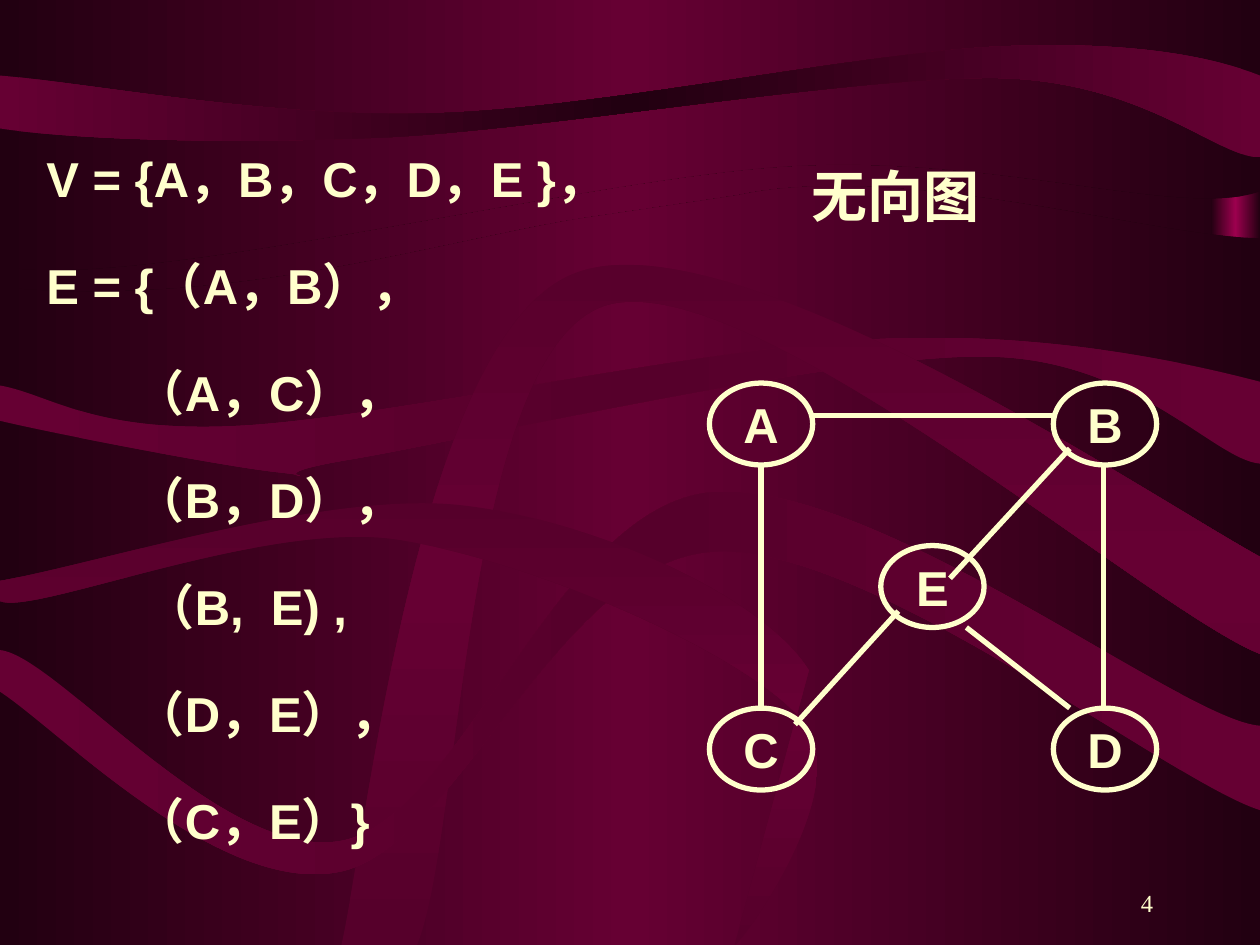
from copy import deepcopy
from dataclasses import dataclass

from pptx import Presentation, util as u
from pptx.dml.color import RGBColor
from pptx.enum import shapes, text
from pptx.oxml.ns import qn


@dataclass(frozen=True)
class Theme:
    ink: str = "FFFFCC"
    dark: str = "220011"
    wine: str = "660033"
    plum: str = "56002B"
    rose: str = "9C004E"
    sans: str = "Arial"
    serif: str = "Times New Roman"
    head: int = 32
    body: int = 28
    foot: int = 14
    line: int = 3


def px(n):
    """100 px to the inch."""
    return u.Emu(n * 9144)


def bend(shape, steps):
    """Join the three points of each six-number step into one Bezier curve."""
    track = shape._element.find(".//" + qn("a:path"))
    lines = iter(track.findall(qn("a:lnTo")))
    for step in steps:
        first = next(lines)
        if len(step) == 6:
            first.tag = qn("a:cubicBezTo")
            for _ in range(2):
                extra = next(lines)
                first.append(extra[0])
                track.remove(extra)


def write(frame, lines, size, font, color, bold=True, align="LEFT", anchor="TOP",
          wrap=True, gap=0, space=None, indents=None):
    frame.word_wrap = wrap
    frame.auto_size = text.MSO_AUTO_SIZE.NONE
    frame.vertical_anchor = getattr(text.MSO_ANCHOR, anchor)
    for i, line in enumerate(lines):
        para = frame.paragraphs[0] if i == 0 else frame.add_paragraph()
        para.alignment = getattr(text.PP_ALIGN, align)
        para.space_before = u.Pt(gap if i else 0)
        if space:
            para.line_spacing = space
        if indents:
            props = para._p.get_or_add_pPr()
            props.set("marL", str(px(indents[i])))
            props.set("indent", "0")
        run = para.add_run()
        run.text = line
        run.font.size, run.font.name, run.font.bold = u.Pt(size), font, bold
        run.font.color.rgb = RGBColor.from_string(color)


class Deck:
    def __init__(self, theme):
        self.theme = theme
        self.file = Presentation()
        self.file.slide_width, self.file.slide_height = px(1000), px(750)
        self.slide = self.file.slides.add_slide(self.file.slide_layouts[5])
        self.shapes = self.slide.shapes

    def blend(self, fill, edge, mid, angle=0):
        """Gradient from edge to mid and back to edge."""
        fill.gradient()
        fill.gradient_angle = angle
        first = fill.gradient_stops[0]._gs
        first.addnext(deepcopy(first))
        for stop, color, place in zip(fill.gradient_stops, (edge, mid, edge), (0, 0.5, 1)):
            stop.color.rgb = RGBColor.from_string(color)
            stop.position = place

    def plain(self, shape):
        shape.shadow.inherit = False
        shape.line.fill.background()

    def band(self, box, edge, mid):
        shape = self.shapes.add_shape(shapes.MSO_SHAPE.RECTANGLE, *map(px, box))
        self.plain(shape)
        self.blend(shape.fill, edge, mid)

    def ribbon(self, start, steps, edge, mid, angle=0):
        """A step of two numbers is a line, one of six a curve."""
        points = [step[i:i + 2] for step in steps for i in range(0, len(step), 2)]
        pen = self.shapes.build_freeform(*start, scale=px(1))
        pen.add_line_segments(points, close=True)
        shape = pen.convert_to_shape()
        bend(shape, steps)
        self.plain(shape)
        self.blend(shape.fill, edge, mid, angle)

    def stroke(self, line):
        line.color.rgb = RGBColor.from_string(self.theme.ink)
        line.width = u.Pt(self.theme.line)

    def node(self, name, x, y):
        shape = self.shapes.add_shape(shapes.MSO_SHAPE.OVAL, px(x), px(y), px(82), px(65))
        shape.shadow.inherit = False
        shape.fill.background()
        self.stroke(shape.line)
        write(shape.text_frame, [name], self.theme.body, self.theme.sans, self.theme.ink,
              align="CENTER", anchor="MIDDLE", wrap=False)

    def edge(self, *ends):
        link = self.shapes.add_connector(shapes.MSO_CONNECTOR.STRAIGHT, *map(px, ends))
        self.stroke(link.line)
        props = link._element.spPr
        props.append(props.makeelement(qn("a:effectLst"), {}))

    def label(self, box, lines, size, font, **style):
        shape = self.shapes.add_textbox(*map(px, box))
        write(shape.text_frame, lines, size, font, self.theme.ink, **style)

    def title(self, box, words):
        shape = self.shapes.title
        shape.left, shape.top, shape.width, shape.height = map(px, box)
        write(shape.text_frame, [words], self.theme.head, self.theme.sans, self.theme.ink)
        self.shapes._spTree.append(shape._element)  # in front of the ribbons


def main():
    look = Theme()
    deck = Deck(look)
    dark, wine, plum = look.dark, look.wine, look.plum

    # Backdrop
    deck.blend(deck.slide.background.fill, dark, wine)
    deck.band((961, 49, 39, 345), dark, look.rose)
    ribbons = [
        ((0, 0), [(1000, 0), (1000, 152), (938, 174, 792, 122, 625, 132),
                  (458, 142, 104, 233, 0, 211)], dark, wine),
        ((0, 355), [(178, 372, 340, 321, 458, 301), (458, 301, 567, 285, 586, 282),
                    (715, 254, 917, 316, 1000, 316), (1000, 750), (0, 750)], dark, wine),
        ((0, 60), [(0, 102), (51, 110, 176, 115, 308, 109), (440, 102, 679, 60, 794, 62),
                   (909, 65, 966, 125, 1000, 125), (1000, 60), (965, 46, 901, 32, 792, 37),
                   (682, 42, 477, 86, 345, 90), (213, 94, 72, 66, 0, 60)], wine, dark),
        ((0, 306), [(0, 334), (37, 343, 175, 370, 222, 375), (269, 380, 190, 379, 282, 364),
                    (375, 348, 660, 282, 780, 283), (900, 283, 963, 365, 1000, 368),
                    (1000, 303), (950, 290, 836, 263, 701, 269),
                    (566, 274, 307, 332, 190, 338), (73, 344, 40, 313, 0, 306)], wine, plum),
        ((271, 750), [(291, 661, 332, 269, 454, 218), (575, 166, 909, 392, 1000, 442),
                      (1000, 519), (913, 485, 591, 205, 479, 243),
                      (368, 282, 366, 666, 331, 750)], plum, wine, 270),
        ((0, 516), [(0, 549), (45, 578, 174, 711, 269, 692), (363, 674, 443, 446, 565, 438),
                    (687, 429, 927, 620, 1000, 643), (1000, 576),
                    (938, 572, 691, 377, 562, 391), (441, 406, 367, 646, 273, 667),
                    (179, 687, 45, 520, 0, 516)], wine, plum),
        ((0, 461), [(0, 477), (26, 489, 208, 413, 314, 428), (420, 444, 592, 518, 637, 572),
                    (682, 625, 582, 757, 583, 750), (642, 532),
                    (606, 474, 473, 413, 366, 401), (259, 389, 76, 448, 0, 461)],
         plum, wine, 270),
    ]
    # The second ribbon is the lower ground, whose top edge lies at 228
    ground = ribbons[1]
    lift = [tuple(n - 127 if i % 2 and n < 750 else n for i, n in enumerate(step))
            for step in ground[1]]
    ribbons[1] = ((0, 228), lift, *ground[2:])
    for ribbon in ribbons:
        deck.ribbon(*ribbon)

    # Slide number
    deck.label((717, 683, 208, 50), ["4"], look.foot, look.serif,
               bold=False, align="RIGHT", anchor="BOTTOM")

    # Graph
    cols, rows = (563, 699, 836), (304, 433, 562)
    for name, col, row in (("A", 0, 0), ("B", 2, 0), ("C", 0, 2), ("D", 2, 2), ("E", 1, 1)):
        deck.node(name, cols[col], rows[row])
    for ends in ((645, 330, 836, 330), (604, 369, 604, 562), (876, 369, 876, 562),
                 (754, 459, 849, 356), (631, 575, 713, 485), (849, 562, 767, 498)):
        deck.edge(*ends)

    # Vertex and edge sets
    sets = ["V = {A，B，C，D，E }，", "E = {（A，B），", "（A，C），", "（B，D），",
            "（B,  E) ,", "（D，E），", "（C，E）}"]
    deck.label((27, 99, 488, 641), sets, look.body, look.sans, gap=17.5, space=1.3,
               indents=(0, 0, 71, 71, 79, 71, 71))

    # Title
    deck.title((634, 123, 189, 64), "无向图")
    deck.file.save("out.pptx")


if __name__ == "__main__":
    main()
